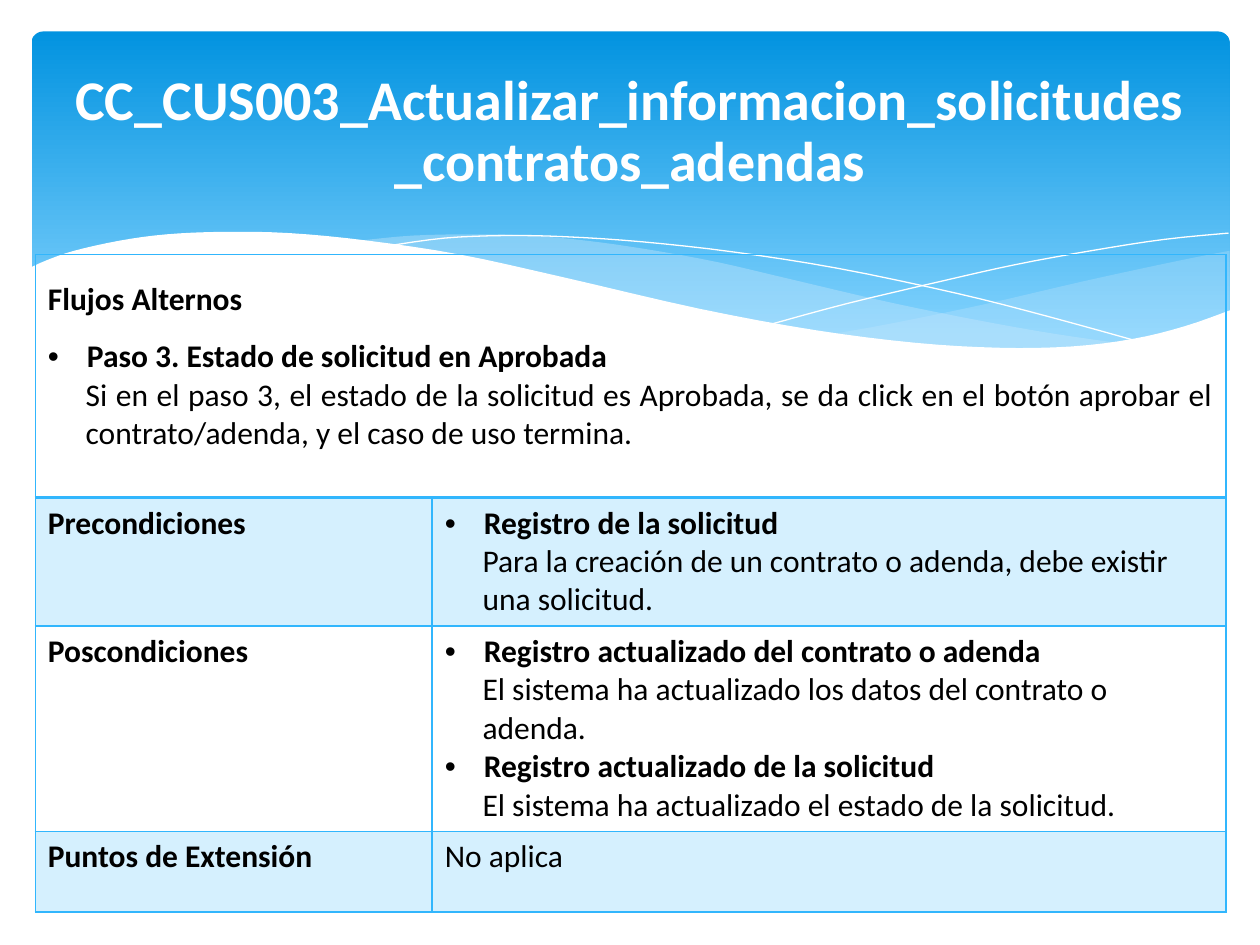
from lxml.etree import SubElement
from pptx import Presentation
from pptx.dml.color import RGBColor
from pptx.enum.shapes import MSO_SHAPE
from pptx.enum.text import MSO_ANCHOR, PP_ALIGN
from pptx.oxml import parse_xml
from pptx.oxml.ns import nsdecls, qn
from pptx.util import Inches, Pt

FONT = "Calibri"
WHITE, BLACK, SKY, MIST = "FFFFFF", "000000", "31B6FD", "C6E7FC"
TITLE = "CC_CUS003_Actualizar_informacion_solicitudes_contratos_adendas"

RIGHT_WAVE = [
    [(9.53, 0.15), (9.12, 0.23), (8.38, 0.39), (7.56, 0.58), (6.83, 0.73), (6.38, 0.81)],
    [(6.38, 0.81), (6.82, 0.87), (7.34, 0.92), (7.8, 0.94), (8.31, 0.92), (8.74, 0.86),
     (9.19, 0.75), (9.53, 0.63)],
]
MIDDLE_WAVE = [
    [(8.7, 0.89), (8.14, 0.81), (7.52, 0.7), (6.83, 0.56), (6.06, 0.38), (5.46, 0.24),
     (4.91, 0.14), (4.42, 0.07), (3.97, 0.03), (3.57, 0.02), (3.05, 0.03), (2.63, 0.07)],
    [(2.63, 0.07), (3.19, 0.15), (3.81, 0.27), (4.68, 0.48), (5.43, 0.64), (6.11, 0.77),
     (6.72, 0.86), (7.25, 0.92), (7.73, 0.94), (8.25, 0.93), (8.7, 0.89)],
]
FALLING_LINE = [[(2.86, 0.11), (3.3, 0.05), (3.78, 0.03), (4.27, 0.04), (4.87, 0.08),
                 (5.59, 0.16), (6.42, 0.29), (7.37, 0.49), (8.08, 0.67), (8.84, 0.88)]]
RISING_LINE = [[(5.9, 0.73), (6.49, 0.57), (7.25, 0.39), (7.83, 0.26), (8.43, 0.15),
                (9.01, 0.06), (9.52, 0.01)]]
WHITE_WAVE = [
    [(9.54, 0.62), (9.17, 0.75), (8.76, 0.85), (8.27, 0.91), (7.7, 0.92), (7.03, 0.88),
     (6.24, 0.78), (5.32, 0.61), (4.24, 0.36), (3.42, 0.18), (2.69, 0.07), (2.07, 0.01),
     (1.54, 0), (1.09, 0.02), (0.72, 0.07), (0.36, 0.15), (0.13, 0.23), (0, 0.29)],
    [(0, 1.45), (9.54, 1.45)],
]


def color(value):
    """Turn a hex string into a colour."""
    return RGBColor.from_string(value)


def fill_solid(fill, value, opacity=100):
    """Fill with one colour at a percentage of opacity."""
    fill.solid()
    fill.fore_color.rgb = color(value)
    if opacity < 100:
        node = fill._xPr.find(qn("a:solidFill")).find(qn("a:srgbClr"))
        SubElement(node, qn("a:alpha"), val=str(opacity * 1000))


def smooth(points, steps=4):
    """Pass a Catmull-Rom curve through the points."""
    padded = [points[0], *points, points[-1]]
    curve = [points[0]]
    for p, q, r, s in zip(padded, padded[1:], padded[2:], padded[3:]):
        for step in range(1, steps + 1):
            t = step / steps
            curve.append(tuple(
                0.5 * (2 * b + (c - a) * t + (2 * a - 5 * b + 4 * c - d) * t ** 2
                       + (3 * b - a - 3 * c + d) * t ** 3)
                for a, b, c, d in zip(p, q, r, s)))
    return curve


def add_wave(slide, left, top, edges, fill=None, opacity=100):
    """Draw a filled wave, or a white hairline when no fill is given."""
    points = [(Inches(left + x), Inches(top + y)) for edge in edges for x, y in smooth(edge)]
    builder = slide.shapes.build_freeform(*points[0])
    builder.add_line_segments(points[1:], close=fill is not None)
    shape = builder.convert_to_shape()
    shape.shadow.inherit = False
    if fill:
        fill_solid(shape.fill, fill, opacity)
        shape.line.fill.background()
    else:
        shape.fill.background()
        shape.line.color.rgb = color(WHITE)
        shape.line.width = Pt(0)


def add_banner(slide, left, top, width, height):
    """Draw the blue gradient panel and the waves along its lower edge."""
    panel = slide.shapes.add_shape(MSO_SHAPE.ROUNDED_RECTANGLE, Inches(left), Inches(top),
                                   Inches(width), Inches(height))
    panel.adjustments[0] = 0.034
    panel.shadow.inherit = False
    panel.line.fill.background()
    panel.fill.gradient()
    panel.fill.gradient_angle = 270
    for stop, position, value in zip(panel.fill.gradient_stops, (0, 0.9), ("0293E0", "83D3FE")):
        stop.position = position
        stop.color.rgb = color(value)
    origin = left - 0.02, top + 1.59
    add_wave(slide, *origin, RIGHT_WAVE, MIST, 29)
    add_wave(slide, *origin, MIDDLE_WAVE, MIST, 40)
    add_wave(slide, *origin, FALLING_LINE)
    add_wave(slide, *origin, RISING_LINE)
    add_wave(slide, *origin, WHITE_WAVE, WHITE)


def format_run(paragraph, size, value, bold):
    """Set the font of a paragraph's only run."""
    font = paragraph.runs[0].font
    font.name, font.size, font.bold = FONT, Pt(size), bold
    font.color.rgb = color(value)


def add_title(slide, left, top, width, height):
    """Place the centred title."""
    box = slide.shapes.add_textbox(Inches(left), Inches(top), Inches(width), Inches(height))
    frame = box.text_frame
    frame.word_wrap = True
    frame.vertical_anchor = MSO_ANCHOR.MIDDLE
    frame.text = TITLE
    paragraph = frame.paragraphs[0]
    paragraph.alignment = PP_ALIGN.CENTER
    paragraph.line_spacing = 0.9
    format_run(paragraph, 32, WHITE, True)


def write_cell(cell, items):
    """Write (style, text) items as headings, bullets, details or plain text."""
    frame = cell.text_frame
    frame.text = "\n".join(text for _, text in items)
    for paragraph, (style, _) in zip(frame.paragraphs, items):
        format_run(paragraph, 18, BLACK, style in ("heading", "bullet"))
        properties = paragraph._p.get_or_add_pPr()
        if style == "bullet":
            properties.set("marL", str(Inches(0.31)))
            properties.set("indent", str(-Inches(0.31)))
            SubElement(properties, qn("a:buFont"), typeface="Arial")
            SubElement(properties, qn("a:buChar"), char="•")
        elif style == "detail":
            paragraph.level = 1
            properties.set("marL", str(Inches(0.3)))
            properties.set("indent", "0")


def set_borders(cell, bottom=1, top=1):
    """Give a cell sky blue borders with widths in points."""
    widths = {"lnL": 1, "lnR": 1, "lnT": top, "lnB": bottom}
    for index, (tag, width) in enumerate(widths.items()):
        line = parse_xml(f'<a:{tag} {nsdecls("a")} w="{Pt(width)}"><a:solidFill>'
                         f'<a:srgbClr val="{SKY}"/></a:solidFill></a:{tag}>')
        cell._tc.get_or_add_tcPr().insert(index, line)


def add_use_case_table(slide, left, top, width, height):
    """Place the table of alternate flows and conditions."""
    rows = [
        [[("heading", "Flujos Alternos"),
          ("bullet", "Paso 3. Estado de solicitud en Aprobada"),
          ("detail", "Si en el paso 3, el estado de la solicitud es Aprobada, se da click en el "
                     "botón aprobar el contrato/adenda, y el caso de uso termina.")]],
        [[("heading", "Precondiciones")],
         [("bullet", "Registro de la solicitud"),
          ("detail", "Para la creación de un contrato o adenda, debe existir una solicitud.")]],
        [[("heading", "Poscondiciones")],
         [("bullet", "Registro actualizado del contrato o adenda"),
          ("detail", "El sistema ha actualizado los datos del contrato o adenda."),
          ("bullet", "Registro actualizado de la solicitud"),
          ("detail", "El sistema ha actualizado el estado de la solicitud.")]],
        [[("heading", "Puntos de Extensión")], [("plain", "No aplica")]],
    ]
    table = slide.shapes.add_table(len(rows), 2, Inches(left), Inches(top),
                                   Inches(width), Inches(height)).table
    table.first_row = table.horz_banding = False
    table.columns[0].width = Inches(width / 3)
    table.columns[1].width = Inches(width * 2 / 3)
    for row, share in zip(table.rows, (1.93, 1.02, 1.63, 0.64)):
        row.height = Inches(height * share / 5.22)
    table.cell(0, 0).merge(table.cell(0, 1))
    for row_index, row in enumerate(rows):
        for column in range(2):
            cell = table.cell(row_index, column)
            if row_index % 2:
                fill_solid(cell.fill, SKY, 20)
            else:
                cell.fill.background()
            set_borders(cell, 2 if row_index == 0 else 1, 2 if row_index == 1 else 1)
        for column, items in enumerate(row):
            write_cell(table.cell(row_index, column), items)
    heading, step, detail = table.cell(0, 0).text_frame.paragraphs
    heading.line_spacing = step.line_spacing = 1.5
    detail.alignment = PP_ALIGN.JUSTIFY


def main():
    """Build and save the slide."""
    presentation = Presentation()
    presentation.slide_width, presentation.slide_height = Inches(10), Inches(7.5)
    slide = presentation.slides.add_slide(presentation.slide_layouts[6])
    add_banner(slide, 0.25, 0.25, 9.51, 2.7)
    add_title(slide, 0.5, 0.37, 9, 1.37)
    add_use_case_table(slide, 0.28, 2.02, 9.45, 5.22)
    presentation.save("out.pptx")


if __name__ == "__main__":
    main()
